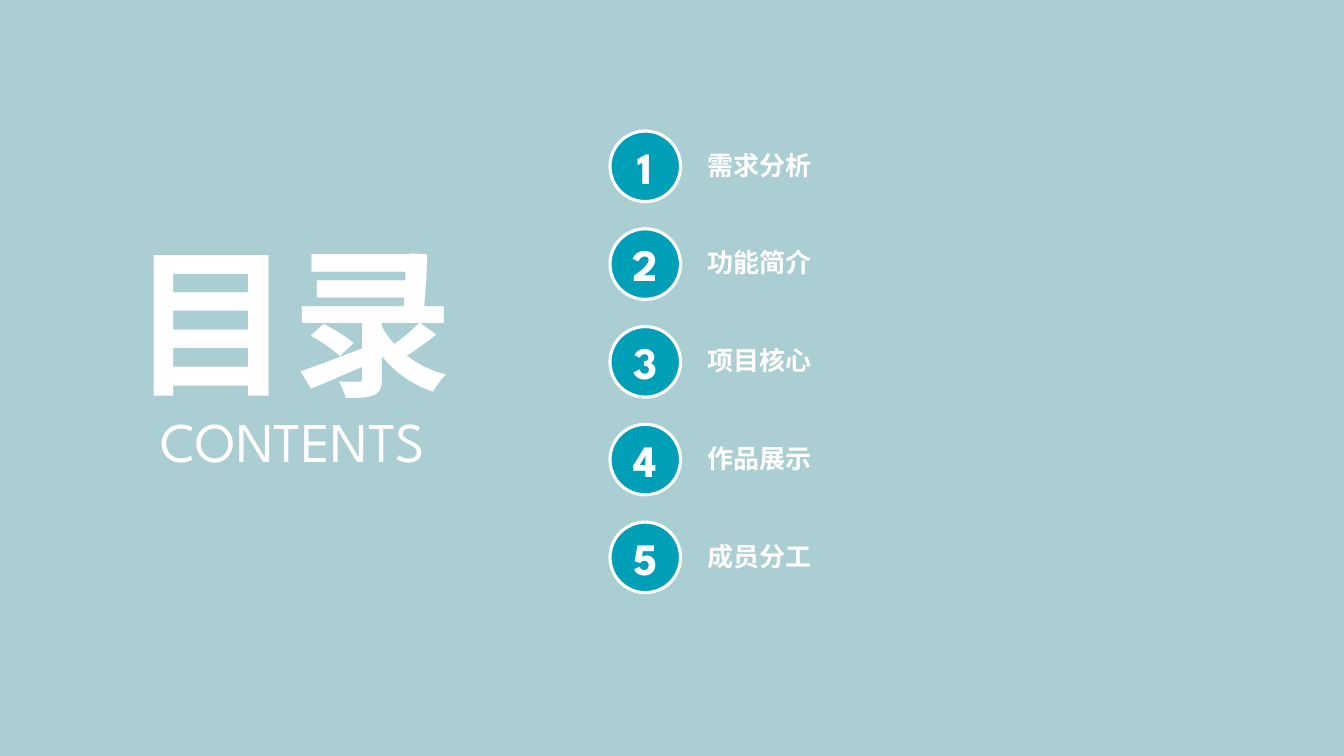
from dataclasses import dataclass

from pptx import Presentation
from pptx.dml.color import RGBColor
from pptx.enum import shapes, text
from pptx.oxml import ns, xmlchemy
from pptx.util import Inches, Pt


@dataclass(frozen=True)
class Theme:
    background: RGBColor = RGBColor(0xAA, 0xCE, 0xD2)
    badge: RGBColor = RGBColor(0x00, 0x9F, 0xB8)
    white: RGBColor = RGBColor(0xFF, 0xFF, 0xFF)
    latin_font: str = "League Spartan"
    chinese_font: str = "Noto Sans CJK SC"
    title_size: float = 115
    subtitle_size: float = 40
    number_size: float = 32
    label_size: float = 18.6
    badge_line: float = 2.25


THEME = Theme()
TOPICS = ["需求分析", "功能简介", "项目核心", "作品展示", "成员分工"]


def write(shape, wording, size, font=THEME.latin_font, bold=True,
          align=text.PP_ALIGN.CENTER, anchor=text.MSO_ANCHOR.TOP):
    """Put one unwrapped white run into the shape."""
    frame = shape.text_frame
    frame.word_wrap = False
    frame.auto_size = text.MSO_AUTO_SIZE.NONE
    frame.vertical_anchor = anchor
    para = frame.paragraphs[0]
    para.alignment = align
    span = para.add_run()
    span.text = wording
    span.font.name = font
    span.font.size = Pt(size)
    span.font.bold = bold
    span.font.color.rgb = THEME.white
    east_asian = xmlchemy.OxmlElement("a:ea")
    east_asian.set("typeface", THEME.chinese_font)
    span.font._element.find(ns.qn("a:latin")).addnext(east_asian)


def add_heading(page, left, top, width):
    title = page.shapes.title
    title.left, title.top = Inches(left), Inches(top)
    title.width, title.height = Inches(width), Inches(2.04)
    write(title, "目录", THEME.title_size, THEME.chinese_font)

    subtitle = page.shapes.add_textbox(
        Inches(left + 0.2), Inches(top + 1.82), Inches(width - 0.4), Inches(0.77))
    write(subtitle, "CONTENTS", THEME.subtitle_size, bold=False)


def add_badge(page, number, left, top, size):
    badge = page.shapes.add_shape(
        shapes.MSO_SHAPE.OVAL, Inches(left), Inches(top), Inches(size), Inches(size))
    badge.shadow.inherit = False
    badge.fill.solid()
    badge.fill.fore_color.rgb = THEME.badge
    badge.line.color.rgb = THEME.white
    badge.line.width = Pt(THEME.badge_line)
    write(badge, str(number), THEME.number_size, anchor=text.MSO_ANCHOR.MIDDLE)


def add_topics(page, left, top, height):
    """Spread the numbered topics evenly over the given height."""
    badge_size = 0.7
    pitch = (height - badge_size) / (len(TOPICS) - 1)
    for index, topic in enumerate(TOPICS):
        row_top = top + index * pitch
        add_badge(page, index + 1, left, row_top, badge_size)
        label = page.shapes.add_textbox(
            Inches(left + 0.87), Inches(row_top + 0.13), Inches(1.25), Inches(0.42))
        write(label, topic, THEME.label_size, align=text.PP_ALIGN.LEFT)


def build_contents(deck):
    page = deck.slides.add_slide(deck.slide_layouts.get_by_name("Title Only"))
    page.background.fill.solid()
    page.background.fill.fore_color.rgb = THEME.background
    add_heading(page, left=1.19, top=2.16, width=3.43)
    add_topics(page, left=6.05, top=1.3, height=4.58)


def main():
    deck = Presentation()
    deck.slide_width, deck.slide_height = Inches(13.33), Inches(7.5)
    build_contents(deck)
    deck.save("out.pptx")


if __name__ == "__main__":
    main()
